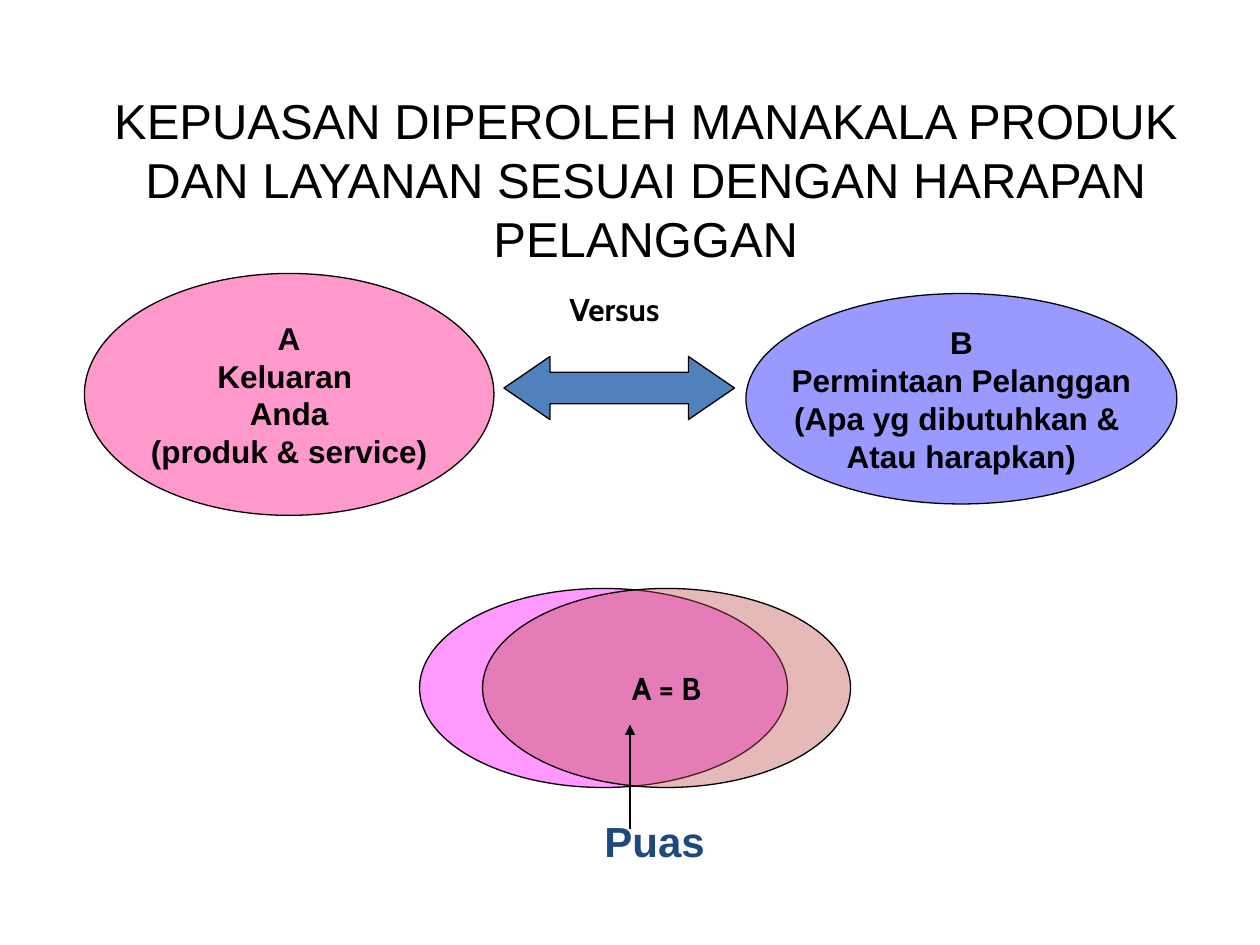
from lxml.etree import SubElement
from pptx import Presentation
from pptx.dml.color import RGBColor
from pptx.enum.shapes import MSO_CONNECTOR, MSO_SHAPE
from pptx.enum.text import MSO_ANCHOR, PP_ALIGN
from pptx.oxml.ns import qn
from pptx.util import Inches, Pt

HUES = {
    "ink": "000000",
    "pink": "FF99CC",
    "violet": "9999FF",
    "blue": "4F81BD",
    "magenta": "FF00FF",
    "brick": "C0504D",
    "navy": "1F497D",
}


def color(name):
    return RGBColor.from_string(HUES[name])


def write(shape, text, size=18, font="Arial", hue="ink", bold=True,
          align=PP_ALIGN.CENTER, anchor=MSO_ANCHOR.MIDDLE, wrap=False):
    frame = shape.text_frame
    frame.word_wrap = wrap
    frame.vertical_anchor = anchor
    for i, line in enumerate(text.split("\n")):
        para = frame.add_paragraph() if i else frame.paragraphs[0]
        para.alignment = align
        run = para.add_run()
        run.text = line
        run.font.name = font
        run.font.size = Pt(size)
        run.font.bold = bold
        run.font.color.rgb = color(hue)


def label(slide, box, text, **form):
    shape = slide.shapes.add_textbox(*map(Inches, box))
    write(shape, text, anchor=MSO_ANCHOR.TOP, **form)


def draw(slide, kind, box, hue, alpha=None):
    """Add an outlined shape; alpha is its opacity in percent."""
    shape = slide.shapes.add_shape(kind, *map(Inches, box))
    shape.shadow.inherit = False
    shape.fill.solid()
    shape.fill.fore_color.rgb = color(hue)
    if alpha:
        fill = shape.fill._xPr.find(qn("a:solidFill"))[0]
        SubElement(fill, qn("a:alpha")).set("val", str(alpha * 1000))
    shape.line.color.rgb = color("ink")
    shape.line.width = Pt(0.75)
    return shape


def arrow(slide, x, top, base):
    """Add a vertical line pointing up at top."""
    line = slide.shapes.add_connector(
        MSO_CONNECTOR.STRAIGHT, *map(Inches, (x, top, x, base)))
    line.line.color.rgb = color("ink")
    line.line.width = Pt(1.5)
    SubElement(line.line._get_or_add_ln(), qn("a:headEnd")).set("type", "triangle")
    SubElement(line._element.spPr, qn("a:effectLst"))


def versus(slide, x, y):
    """Set output A against demand B."""
    sides = [
        ((x, y, 3.25, 1.92), "pink",
         "A\nKeluaran \nAnda\n(produk & service)"),
        ((x + 5.25, y + 0.16, 3.42, 1.67), "violet",
         "B\nPermintaan Pelanggan\n(Apa yg dibutuhkan & \nAtau harapkan)"),
    ]
    for box, hue, text in sides:
        write(draw(slide, MSO_SHAPE.OVAL, box, hue), text)
    both = draw(slide, MSO_SHAPE.LEFT_RIGHT_ARROW,
                (x + 3.33, y + 0.66, 1.83, 0.5), "blue")
    both.adjustments[0] = 0.5
    both.adjustments[1] = 0.73
    label(slide, (x + 3.75, y + 0.08, 1.17, 0.4), "Versus",
          font="Cabin", align=PP_ALIGN.LEFT, wrap=True)


def overlap(slide, x, y):
    """Show satisfaction where A and B meet."""
    for i, hue in enumerate(("magenta", "brick")):
        oval = draw(slide, MSO_SHAPE.OVAL, (x + i * 0.5, y, 2.92, 1.58), hue, 40)
    write(oval, "A = B", font="Cabin")
    label(slide, (x + 1.31, y + 1.75, 1.11, 0.51), "Puas", size=24, hue="navy")
    arrow(slide, x + 1.67, y + 1.08, y + 1.91)


def title(slide, box):
    label(slide, box,
          "KEPUASAN DIPEROLEH MANAKALA PRODUK\n"
          "DAN LAYANAN SESUAI DENGAN HARAPAN\n"
          "PELANGGAN",
          size=28, bold=False, wrap=True)


def main():
    deck = Presentation()
    deck.slide_width, deck.slide_height = Inches(10), Inches(7.5)
    slide = deck.slides.add_slide(deck.slide_layouts[6])
    versus(slide, 0.67, 2.17)
    overlap(slide, 3.33, 4.67)
    title(slide, (0, 0.67, 10.25, 1.51))
    deck.save("out.pptx")


if __name__ == "__main__":
    main()
